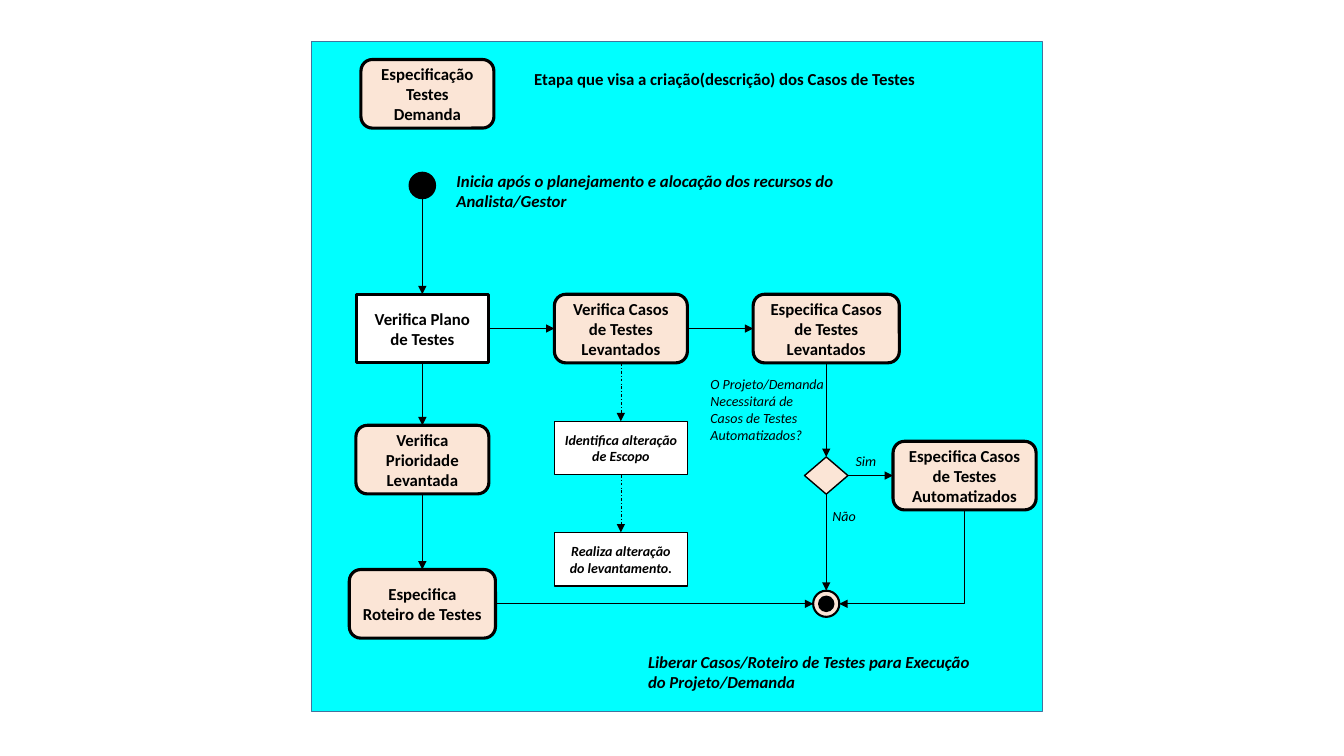
from dataclasses import dataclass
from lxml.etree import SubElement
from pptx import Presentation
from pptx.dml.color import RGBColor
from pptx.enum.dml import MSO_LINE
from pptx.enum.shapes import MSO_CONNECTOR, MSO_SHAPE
from pptx.enum.text import MSO_ANCHOR, MSO_AUTO_SIZE, PP_ALIGN
from pptx.oxml.ns import qn
from pptx.util import Pt

COLORS = {"panel": "00FFFF", "border": "43739E", "step": "FBE5D6",
          "ink": "000000", "paper": "FFFFFF"}
FONT = "Calibri"
LEFT, MIDDLE, RIGHT, FAR_RIGHT = 301.7, 443.5, 590.2, 689
TOP_ROW, DECISION_ROW, END_ROW = 234.7, 339.7, 431.3
STEP_HEIGHT, NOTE_HEIGHT, DOT = 49, 38.2, 18.7


@dataclass(frozen=True)
class Node:
    x: float
    y: float
    width: float
    height: float = STEP_HEIGHT
    text: str = ""
    kind: MSO_SHAPE = MSO_SHAPE.ROUNDED_RECTANGLE
    fill: str = "step"
    line: str = "ink"
    weight: float = 2.25
    size: float = 12
    italic: bool = False

    def side(self, name: str) -> tuple[float, float]:
        dx, dy = {"top": (0, -1), "bottom": (0, 1), "left": (-1, 0), "right": (1, 0)}[name]
        return self.x + dx * self.width / 2, self.y + dy * self.height / 2


@dataclass(frozen=True)
class Label:
    left: float
    top: float
    width: float
    height: float
    text: str
    size: float = 12
    bold: bool = True
    italic: bool = True


@dataclass(frozen=True)
class Arrow:
    source: Node
    source_side: str
    target: Node
    target_side: str
    dashed: bool = False


def rgb(name: str) -> RGBColor:
    return RGBColor.from_string(COLORS[name])


def write(shape, text: str, size: float, bold: bool, italic: bool, align) -> None:
    frame = shape.text_frame
    frame.word_wrap = True
    frame.text = text
    for paragraph in frame.paragraphs:
        paragraph.alignment = align
        font = paragraph.font
        font.name, font.size, font.bold, font.italic = FONT, Pt(size), bold, italic
        font.color.rgb = rgb("ink")


def draw_node(shapes, node: Node):
    left, top = node.side("left")[0], node.side("top")[1]
    shape = shapes.add_shape(node.kind, Pt(left), Pt(top), Pt(node.width), Pt(node.height))
    shape.shadow.inherit = False
    shape.fill.solid()
    shape.fill.fore_color.rgb = rgb(node.fill)
    shape.line.color.rgb = rgb(node.line)
    shape.line.width = Pt(node.weight)
    if node.text:
        shape.text_frame.vertical_anchor = MSO_ANCHOR.MIDDLE
        write(shape, node.text, node.size, True, node.italic, PP_ALIGN.CENTER)
    return shape


def draw_label(shapes, label: Label) -> None:
    shape = shapes.add_textbox(Pt(label.left), Pt(label.top), Pt(label.width), Pt(label.height))
    write(shape, label.text, label.size, label.bold, label.italic, PP_ALIGN.LEFT)


def draw_connector(shapes, kind, start: tuple[float, float], end: tuple[float, float],
                   dashed: bool = False):
    connector = shapes.add_connector(kind, *(Pt(value) for value in start + end))
    connector.line.color.rgb = rgb("ink")
    connector.line.width = Pt(0.5)
    if dashed:
        connector.line.dash_style = MSO_LINE.DASH_DOT
    SubElement(connector.line._get_or_add_ln(), qn("a:tailEnd"), type="triangle")
    SubElement(connector._element.spPr, qn("a:effectLst"))
    return connector


def draw_corner(shapes, source: Node, target: Node) -> None:
    x1, y1 = source.side("bottom")
    x2, y2 = target.side("right")
    x, y = (x1 + x2) / 2, (y1 + y2) / 2
    dx, dy = (y2 - y1) / 2, (x1 - x2) / 2
    connector = draw_connector(shapes, MSO_CONNECTOR.ELBOW, (x - dx, y - dy), (x + dx, y + dy))
    properties = connector._element.spPr
    properties.find(qn("a:xfrm")).set("rot", "5400000")
    properties.find(qn("a:prstGeom")).set("prst", "bentConnector2")


def note(y: float, text: str) -> Node:
    return Node(MIDDLE, y, 95, NOTE_HEIGHT, text, MSO_SHAPE.RECTANGLE, "paper",
                weight=1, size=10, italic=True)


def dot(x: float, y: float, size: float, fill: str, weight: float) -> Node:
    return Node(x, y, size, size, kind=MSO_SHAPE.OVAL, fill=fill, weight=weight)


panel = Node(483.5, 268.9, 522, 478.8, kind=MSO_SHAPE.RECTANGLE, fill="panel",
             line="border", weight=1)
phase = Node(305.3, 67, 95, text="Especificação Testes Demanda")
start = dot(LEFT, 132.5, DOT, "ink", 1)
check_plan = Node(LEFT, TOP_ROW, 94.6, text="Verifica Plano de Testes",
                  kind=MSO_SHAPE.RECTANGLE, fill="paper")
check_priority = Node(LEFT, 328.3, 95, text="Verifica Prioridade Levantada")
specify_script = Node(LEFT, END_ROW, 104.4, text="Especifica Roteiro de Testes")
check_cases = Node(MIDDLE, TOP_ROW, 95, text="Verifica Casos de Testes Levantados")
scope_change = note(320, "Identifica alteração de Escopo")
survey_change = note(399.4, "Realiza alteração do levantamento.")
specify_cases = Node(RIGHT, TOP_ROW, 104.4, text="Especifica Casos de Testes Levantados")
decision = Node(RIGHT, DECISION_ROW, 31, 26.6, kind=MSO_SHAPE.FLOWCHART_DECISION, weight=1)
automated = Node(FAR_RIGHT, DECISION_ROW, 102.2,
                 text="Especifica Casos de Testes Automatizados")
end_ring = dot(RIGHT, END_ROW, DOT, "step", 1.5)
end_core = dot(RIGHT, END_ROW, 10.8, "ink", 1)

NODES = [phase, start, check_plan, check_priority, specify_script, check_cases,
         scope_change, survey_change, specify_cases, decision, automated]

ARROWS = [
    Arrow(start, "bottom", check_plan, "top"),
    Arrow(check_plan, "bottom", check_priority, "top"),
    Arrow(check_priority, "bottom", specify_script, "top"),
    Arrow(check_plan, "right", check_cases, "left"),
    Arrow(check_cases, "right", specify_cases, "left"),
    Arrow(check_cases, "bottom", scope_change, "top", True),
    Arrow(scope_change, "bottom", survey_change, "top", True),
    Arrow(specify_cases, "bottom", decision, "top"),
    Arrow(decision, "right", automated, "left"),
    Arrow(decision, "bottom", end_ring, "top"),
    Arrow(specify_script, "right", end_ring, "left"),
]

LABELS = [
    Label(319, 118.1, 293, 36, "Inicia após o planejamento e alocação dos recursos do Analista/Gestor"),
    Label(455.8, 462.2, 259.2, 36, "Liberar Casos/Roteiro de Testes para Execução do Projeto/Demanda"),
    Label(500.4, 265, 114.5, 55.4,
          "O Projeto/Demanda\nNecessitará de\nCasos de Testes\nAutomatizados?", 10, False),
    Label(604.1, 319.7, 31, 19.4, "Sim", 10, False),
    Label(587.5, 359.3, 31, 19.4, "Não", 10, False),
]


def main() -> None:
    presentation = Presentation()
    presentation.slide_width, presentation.slide_height = Pt(960), Pt(540)
    slide = presentation.slides.add_slide(presentation.slide_layouts[5])
    shapes = slide.shapes
    title = shapes.title
    draw_node(shapes, panel)
    shapes._spTree.append(title._element)
    title.left, title.top, title.width, title.height = Pt(374.4), Pt(45.4), Pt(288.7), Pt(21.6)
    title.text_frame.vertical_anchor = MSO_ANCHOR.TOP
    title.text_frame.auto_size = MSO_AUTO_SIZE.NONE
    write(title, "Etapa que visa a criação(descrição) dos Casos de Testes",
          12, True, False, PP_ALIGN.LEFT)
    for node in NODES:
        draw_node(shapes, node)
    shapes.add_group_shape([draw_node(shapes, node) for node in (end_ring, end_core)])
    for arrow in ARROWS:
        draw_connector(shapes, MSO_CONNECTOR.STRAIGHT, arrow.source.side(arrow.source_side),
                       arrow.target.side(arrow.target_side), arrow.dashed)
    draw_corner(shapes, automated, end_ring)
    for label in LABELS:
        draw_label(shapes, label)
    presentation.save("out.pptx")


if __name__ == "__main__":
    main()
